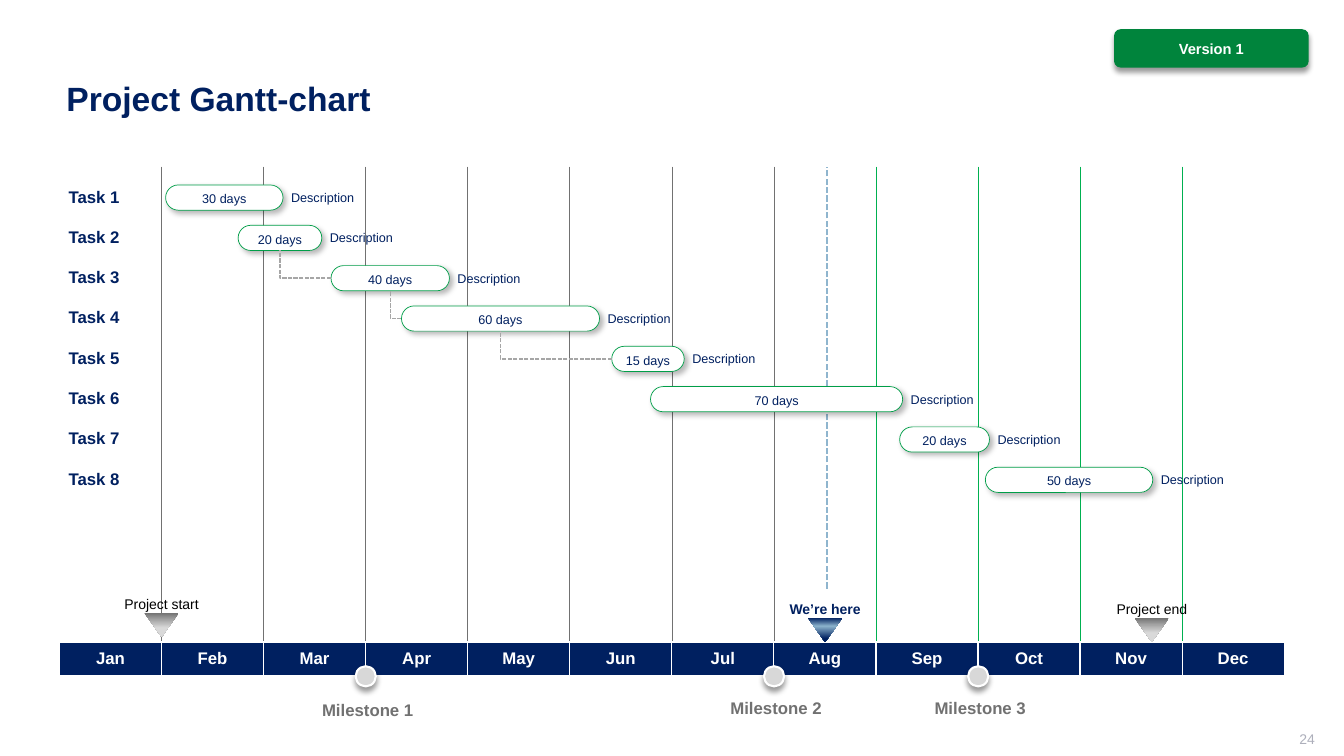
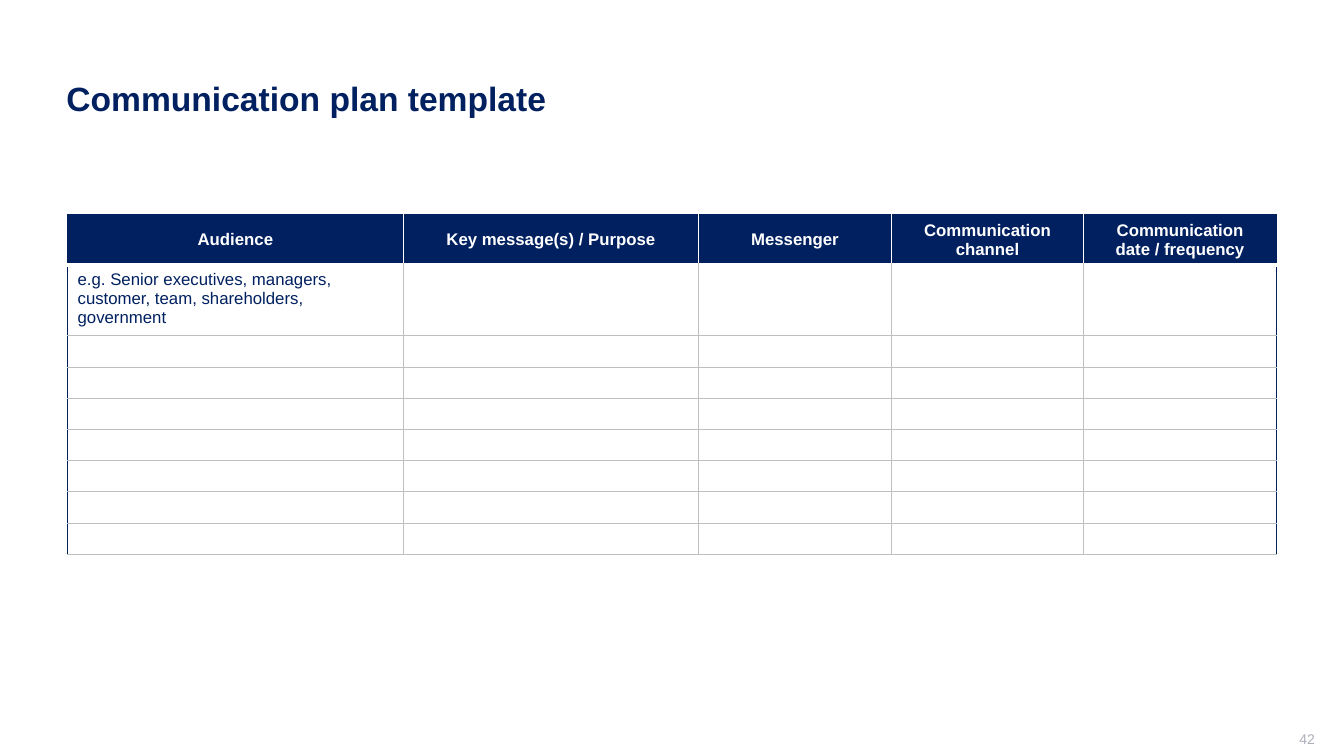
"""Build a project Gantt chart slide and a communication plan slide."""
from lxml import etree
from pptx import Presentation, util as u
from pptx.dml.color import RGBColor
from pptx.enum import dml, shapes, text
from pptx.oxml import ns

HUE = {"navy": "002060", "white": "FFFFFF", "green": "009E48", "badge": "00843C",
       "grid": "00B050", "past": "717171", "rule": "BFBFBF", "dot": "D8D8D8",
       "gray": "717171", "mid": "A5A5A5", "pale": "D9D9D9", "link": "A6A6A6",
       "sky": "8BB2CB", "now": "8FB5CE", "page": "ADAFBB", "black": "000000"}
FONT = "Arial"
WIDE, HIGH = 13.33, 7.5
KIND = shapes.MSO_SHAPE
LEFT, MID, RIGHT = text.PP_ALIGN.LEFT, text.PP_ALIGN.CENTER, text.PP_ALIGN.RIGHT
TOP, CORE, BASE = text.MSO_ANCHOR.TOP, text.MSO_ANCHOR.MIDDLE, text.MSO_ANCHOR.BOTTOM


def box(page, spot, words="", size=12, tint="navy", bold=False, align=MID, anchor=CORE,
        inset=(0, 0, 0, 0), space=1.0, kind=None, fill=None, line=None, shade=None):
    """Add a text box or preset shape with its text, fill, line and shadow."""
    spot = [u.Inches(n) for n in spot]
    if kind is None:
        item = page.shapes.add_textbox(*spot)
    else:
        item = page.shapes.add_shape(kind, *spot)
        item.shadow.inherit = False
        if fill:
            item.fill.solid()
            item.fill.fore_color.rgb = RGBColor.from_string(HUE[fill])
        if line:
            item.line.color.rgb = RGBColor.from_string(HUE[line[0]])
            item.line.width = u.Pt(line[1])
        else:
            item.line.fill.background()
        if shade:
            glow = etree.SubElement(item._element.spPr.find(ns.qn("a:effectLst")),
                                    ns.qn("a:outerShdw"), blurRad="50800", dist="38100",
                                    dir=str(shade[1] * 60000), algn="t", rotWithShape="0")
            dark = etree.SubElement(glow, ns.qn("a:srgbClr"), val=HUE["black"])
            etree.SubElement(dark, ns.qn("a:alpha"), val=str(shade[0] * 1000))
    if words:
        frame = item.text_frame
        frame.word_wrap = True
        frame.vertical_anchor = anchor
        (frame.margin_left, frame.margin_top,
         frame.margin_right, frame.margin_bottom) = [u.Inches(n) for n in inset]
        frame.text = words
        para = frame.paragraphs[0]
        para.alignment = align
        para.line_spacing = space
        font = para.runs[0].font
        font.name, font.size, font.bold = FONT, u.Pt(size), bold
        font.color.rgb = RGBColor.from_string(HUE[tint])
    return item


def dress(cell, words, edges, fill=None, tint="white", bold=True, align=MID, anchor=CORE):
    """Set a cell's text, its left, right, top and bottom edges, and its fill."""
    frame = cell.text_frame
    frame.text = words
    cell.vertical_anchor = anchor
    para = frame.paragraphs[0]
    para.alignment = align
    for run in para.runs:
        run.font.name, run.font.size, run.font.bold = FONT, u.Pt(12), bold
        run.font.color.rgb = RGBColor.from_string(HUE[tint])
    if not words:
        etree.SubElement(para._p, ns.qn("a:endParaRPr"), sz="1200")
    props = cell._tc.get_or_add_tcPr()
    for side, (hue, wide) in zip("LRTB", edges):
        edge = etree.SubElement(props, ns.qn("a:ln" + side), w=str(u.Pt(wide)))
        paint = etree.SubElement(edge, ns.qn("a:solidFill"))
        etree.SubElement(paint, ns.qn("a:srgbClr"), val=HUE[hue])
    if fill:
        cell.fill.solid()
        cell.fill.fore_color.rgb = RGBColor.from_string(HUE[fill])
    else:
        cell.fill.background()


deck = Presentation()
deck.slide_width, deck.slide_height = u.Inches(WIDE), u.Inches(HIGH)
pages = []
for title, number in (("Project Gantt-chart", "24"), ("Communication plan template", "42")):
    page = deck.slides.add_slide(deck.slide_layouts[6])
    box(page, (0.56, 0.4, 12.11, 1.19), title, 24, bold=True, align=LEFT,
        inset=(0.1, 0.05, 0.1, 0.05), space=0.9)
    box(page, (10.04, 7.25, 3, 0.21), number, 10, "page", align=RIGHT,
        inset=(0.1, 0, 0, 0.05))
    pages.append(page)
gantt, plan = pages

MONTHS = "Jan Feb Mar Apr May Jun Jul Aug Sep Oct Nov Dec".split()
X0, Y0, COL = 0.59, 1.66, 1.0125
ROW1, STEP, BAR = 1.96, 0.4, 0.25
FIELD, BAND = 4.71, 0.33
cal = gantt.shapes.add_table(2, 12, u.Inches(X0), u.Inches(Y0),
                             u.Inches(12 * COL), u.Inches(FIELD + BAND)).table
cal.first_row = cal.horz_banding = False
cal.rows[0].height, cal.rows[1].height = u.Inches(FIELD), u.Inches(BAND)
clear = ("white", 1)
lines = [clear] + [("past", 0.5)] * 7 + [("grid", 0.5)] * 4 + [clear]
for c, month in enumerate(MONTHS):
    cal.columns[c].width = u.Inches(COL)
    dress(cal.cell(0, c), "", (lines[c], lines[c + 1], clear, clear))
    cell = cal.cell(1, c)
    cell.margin_left = cell.margin_right = cell.margin_top = cell.margin_bottom = 0
    dress(cell, month, [clear] * 4, "navy")

GRAYS = ((0, "gray"), (29, "mid"), (62, "pale"))
BLUES = ((0, "navy"), (34, "sky"), (86, "navy"))
for col, top, words, tint, bold, stops in (
        (1, 6.08, "Project start", "black", False, GRAYS),
        (10.7, 6.13, "Project end", "black", False, GRAYS),
        (7.5, 6.13, "We’re here", "navy", True, BLUES)):
    x = X0 + col * COL
    flag = box(gantt, (x - 0.17, top, 0.34, 0.24), kind=KIND.ISOSCELES_TRIANGLE)
    flag.rotation = 180
    flag.fill.gradient()
    flag.fill.gradient_angle = 90
    ramp = flag._element.spPr.find(ns.qn("a:gradFill")).find(ns.qn("a:gsLst"))
    ramp.clear()
    for share, hue in stops:
        stop = etree.SubElement(ramp, ns.qn("a:gs"), pos=str(share * 1000))
        etree.SubElement(stop, ns.qn("a:srgbClr"), val=HUE[hue])
    box(gantt, (x - 0.87, top - 0.25, 1.74, 0.33), words, 10, tint, bold,
        anchor=BASE, inset=(0, 0.08, 0, 0.12), space=0.8)

for i, (col, top) in enumerate(((3, 6.98), (7, 6.96), (9, 6.96)), 1):
    x = X0 + col * COL
    box(gantt, (x - 0.83, top, 1.7, 0.16), f"Milestone {i}", 12, "gray", True,
        anchor=TOP, space=0.8)
    box(gantt, (x - 0.1, 6.61, 0.2, 0.2), kind=KIND.OVAL, fill="dot",
        line=("white", 1.5), shade=(40, 90))

here = X0 + 7.52 * COL
today = gantt.shapes.add_connector(shapes.MSO_CONNECTOR.STRAIGHT, u.Inches(here),
                                   u.Inches(5.84), u.Inches(here), u.Inches(Y0))
wires = [(today, "now", 1.5)]

bars = []
for i, (start, span, days) in enumerate((
        (1.04, 1.15, 30), (1.75, 0.82, 20), (2.66, 1.16, 40), (3.35, 1.94, 60),
        (5.41, 0.71, 15), (5.79, 2.47, 70), (8.23, 0.88, 20), (9.07, 1.64, 50))):
    x, y, wide = X0 + start * COL, ROW1 + i * STEP, span * COL
    box(gantt, (0.68, y - 0.16, 0.79, 0.32), f"Task {i + 1}", 12, bold=True,
        align=LEFT, space=0.9)
    bar = box(gantt, (x, y - BAR / 2, wide, BAR), f"{days} days", 9,
              inset=(0.1, 0.1, 0.1, 0.05), space=0.8, kind=KIND.ROUNDED_RECTANGLE,
              fill="white", line=("green", 0.5), shade=(28, 45))
    bar.adjustments[0] = 0.5
    bars.append(bar)
    box(gantt, (x + wide + 0.08, y - 0.15, 1.04, 0.32), "Description", 9,
        align=LEFT, space=0.9)

for prior, later in zip(bars[1:4], bars[2:5]):
    link = gantt.shapes.add_connector(shapes.MSO_CONNECTOR.ELBOW, 0, 0, 0, 0)
    link.begin_connect(later, 1)
    link.end_connect(prior, 2)
    link._element.spPr.find(ns.qn("a:prstGeom")).set("prst", "bentConnector2")
    wires.append((link, "link", 1))
for wire, hue, wide in wires:
    wire.line.color.rgb = RGBColor.from_string(HUE[hue])
    wire.line.width = u.Pt(wide)
    wire.line.dash_style = dml.MSO_LINE.SQUARE_DOT
    etree.SubElement(wire._element.spPr, ns.qn("a:effectLst"))

box(gantt, (11.05, 0.29, 1.93, 0.38), "Version 1", 10.5, "white", True,
    inset=(0.1, 0.05, 0.1, 0.05), kind=KIND.ROUNDED_RECTANGLE, fill="badge",
    shade=(40, 90))

HEADS = ("Audience", "Key message(s) / Purpose", "Messenger",
         "Communication channel", "Communication date / frequency")
HINT = "e.g. Senior executives, managers, customer, team, shareholders, government"
widths = (3.33, 2.93, 1.91, 1.91, 1.91)
tall = [0.46, 0.67] + [0.31] * 7
grid = plan.shapes.add_table(len(tall), len(widths), u.Inches(0.67), u.Inches(2.13),
                             u.Inches(sum(widths)), u.Inches(sum(tall))).table
grid.first_row = grid.horz_banding = False
for c, wide in enumerate(widths):
    grid.columns[c].width = u.Inches(wide)
rim, rule, gap = ("navy", 0.75), ("rule", 0.75), ("white", 3)
for r, high in enumerate(tall):
    grid.rows[r].height = u.Inches(high)
    for c, head in enumerate(HEADS):
        inner = rule if r else clear
        sides = (inner if c else rim, inner if c < len(HEADS) - 1 else rim)
        if r == 0:
            dress(grid.cell(r, c), head, sides + (rim, gap), "navy")
        else:
            dress(grid.cell(r, c), HINT if (r, c) == (1, 0) else "",
                  sides + (gap if r == 1 else rule, rule), tint="navy", bold=False,
                  align=LEFT, anchor=TOP)

deck.save("out.pptx")
